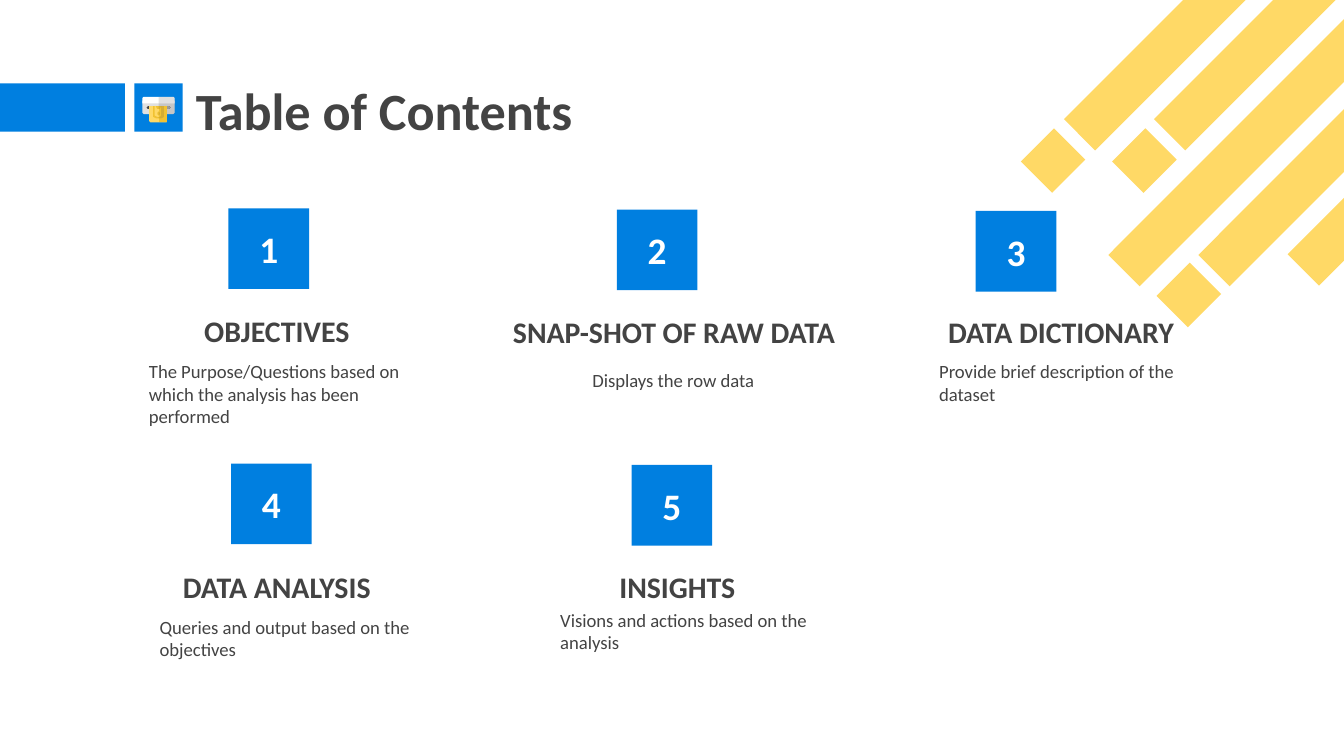
import pptx
import pptx.util
import pptx.dml.color
import pptx.enum.shapes
import pptx.enum.text
import pptx.oxml.ns
from lxml import etree

Inches = pptx.util.Inches
ALIGN = pptx.enum.text.PP_ALIGN
ANCHOR = pptx.enum.text.MSO_ANCHOR

COLORS = {"blue": "007FE0", "yellow": "FFD966", "gold": "F1C232", "dark": "434343",
          "gray": "999999", "light": "E0E0E0", "white": "FFFFFF"}
FONT = "Calibri"
TITLE = "Table of Contents"
TILE = 0.6
BAR_HEIGHT = 0.33
SHADE_PERCENT = 16

# Number, tile position, heading, heading box, line spacing, description, description box
SECTIONS = [
    ("1", (1.7, 1.55), "OBJECTIVES", (0.87, 2.16, 2.38, 0.53), None,
     "The Purpose/Questions based on which the analysis has been performed",
     (1.01, 2.58, 2.38, 0.6)),
    ("2", (4.59, 1.56), "SNAP-SHOT OF RAW DATA", (3.64, 2.2, 2.75, 0.5), 1.15,
     "Displays the row data", (4.31, 2.66, 1.77, 0.32)),
    ("3", (7.26, 1.57), "DATA DICTIONARY", (6.52, 2.2, 2.75, 0.5), 1.15,
     "Provide brief description of the dataset", (6.89, 2.58, 2.1, 0.41)),
    ("4", (1.72, 3.45), "DATA ANALYSIS", (0.87, 4.07, 2.38, 0.53), None,
     "Queries and output based on the objectives", (1.09, 4.48, 2.1, 0.42)),
    ("5", (4.7, 3.46), "INSIGHTS", (3.85, 4.07, 2.38, 0.53), None,
     "Visions and actions based on the analysis", (4.07, 4.43, 2.22, 0.26)),
]

# Diagonal bars: left, top, length
BARS = [(7.66, 1.03, 0.35), (7.59, -0.23, 3.02), (8.34, 1.03, 0.35), (8.26, -0.23, 3.02),
        (7.92, 0.78, 3.02), (9.5, 1.37, 1.34), (8.59, 0.78, 3.02), (8.67, 2.03, 0.35)]

# Title band blocks: left, width
BAND = [(0, 0.93), (1, 0.36)]

# Cash machine icon: colour (None is a translucent shade), points in hundredths of an inch
ICON = [
    ("light", [(106, 75), (130, 75), (130, 84), (129, 85), (124, 85), (123, 84), (123, 81),
               (113, 81), (113, 84), (112, 85), (107, 85), (106, 84)]),
    (None, [(118, 75), (130, 75), (130, 84), (129, 85), (124, 85), (123, 84), (123, 81),
            (118, 81)]),
    ("white", [(107, 72), (129, 72), (130, 73), (130, 77), (106, 77), (106, 73)]),
    (None, [(118, 72), (129, 72), (130, 73), (130, 77), (118, 77)]),
    ("dark", [(110, 79), (126, 79), (127, 80), (126, 81), (110, 81), (109, 80)]),
    ("gray", [(118, 79), (126, 79), (127, 80), (126, 81), (118, 81)]),
    ("yellow", [(111, 79), (124, 79), (124, 91), (112, 91), (111, 90)]),
    ("gold", [(118, 83), (119, 84), (119, 85), (118, 86), (117, 85), (117, 84)]),
    ("gold", [(118, 79), (124, 79), (124, 91), (118, 91)]),
    ("gold", [(114, 79), (114, 87), (116, 88), (120, 88), (122, 87), (122, 79), (120, 79),
              (120, 86), (119, 87), (117, 87), (115, 86), (115, 79)]),
    ("gold", [(116, 79), (120, 79), (119, 81), (117, 81)]),
    (None, [(120, 79), (120, 86), (119, 87), (118, 87), (118, 88), (120, 88), (122, 87),
            (122, 79)]),
    (None, [(118, 83), (119, 84), (119, 85), (118, 86)]),
    (None, [(118, 79), (120, 79), (119, 81), (118, 81)]),
]


def rgb(name):
    return pptx.dml.color.RGBColor.from_string(COLORS[name])


def paint(shape, color):
    shape.shadow.inherit = False
    shape.fill.solid()
    shape.fill.fore_color.rgb = rgb(color)
    shape.line.fill.background()


def add_block(slide, box, color):
    shape = slide.shapes.add_shape(pptx.enum.shapes.MSO_SHAPE.RECTANGLE,
                                   *[Inches(value) for value in box])
    paint(shape, color)
    return shape


def add_icon_part(slide, color, points):
    builder = slide.shapes.build_freeform(*points[0], scale=Inches(0.01))
    builder.add_line_segments(points[1:], close=True)
    shape = builder.convert_to_shape()
    paint(shape, color or "dark")
    if color is None:
        qn = pptx.oxml.ns.qn
        fill_color = shape._element.spPr.find(qn("a:solidFill")).find(qn("a:srgbClr"))
        etree.SubElement(fill_color, qn("a:alpha")).set("val", str(SHADE_PERCENT * 1000))


def write(shape, text, size, color="dark", bold=False, align=ALIGN.LEFT,
          anchor=ANCHOR.TOP, spacing=None):
    frame = shape.text_frame
    frame.word_wrap = True
    frame.vertical_anchor = anchor
    frame.margin_left = frame.margin_right = Inches(0.1)
    frame.margin_top = frame.margin_bottom = Inches(0.1)
    paragraph = frame.paragraphs[0]
    paragraph.alignment = align
    if spacing:
        paragraph.line_spacing = spacing
    run = paragraph.add_run()
    run.text = text
    run.font.name = FONT
    run.font.size = pptx.util.Pt(size)
    run.font.bold = bold
    run.font.color.rgb = rgb(color)


def add_text(slide, box, text, size, **style):
    shape = slide.shapes.add_textbox(*[Inches(value) for value in box])
    write(shape, text, size, **style)


def main():
    # Widescreen 16:9 page
    presentation = pptx.Presentation()
    presentation.slide_width = Inches(10)
    presentation.slide_height = Inches(10) * 9 // 16
    slide = presentation.slides.add_slide(presentation.slide_layouts[6])

    # Corner decoration
    for left, top, length in BARS:
        add_block(slide, (left, top, length, BAR_HEIGHT), "yellow").rotation = 135

    # Title band with icon
    for left, width in BAND:
        add_block(slide, (left, 0.62, width, 0.36), "blue")
    add_text(slide, (1.36, 0.58, 6.78, 0.47), TITLE, 28, bold=True, anchor=ANCHOR.MIDDLE)
    for color, points in ICON:
        add_icon_part(slide, color, points)

    # Contents sections
    for number, corner, heading, heading_box, spacing, description, description_box in SECTIONS:
        tile = add_block(slide, (*corner, TILE, TILE), "blue")
        write(tile, number, 20, color="white", bold=True, align=ALIGN.CENTER,
              anchor=ANCHOR.MIDDLE)
        add_text(slide, heading_box, heading, 16, bold=True, align=ALIGN.CENTER,
                 anchor=ANCHOR.BOTTOM, spacing=spacing)
        add_text(slide, description_box, description, 10)

    presentation.save("out.pptx")


if __name__ == "__main__":
    main()
